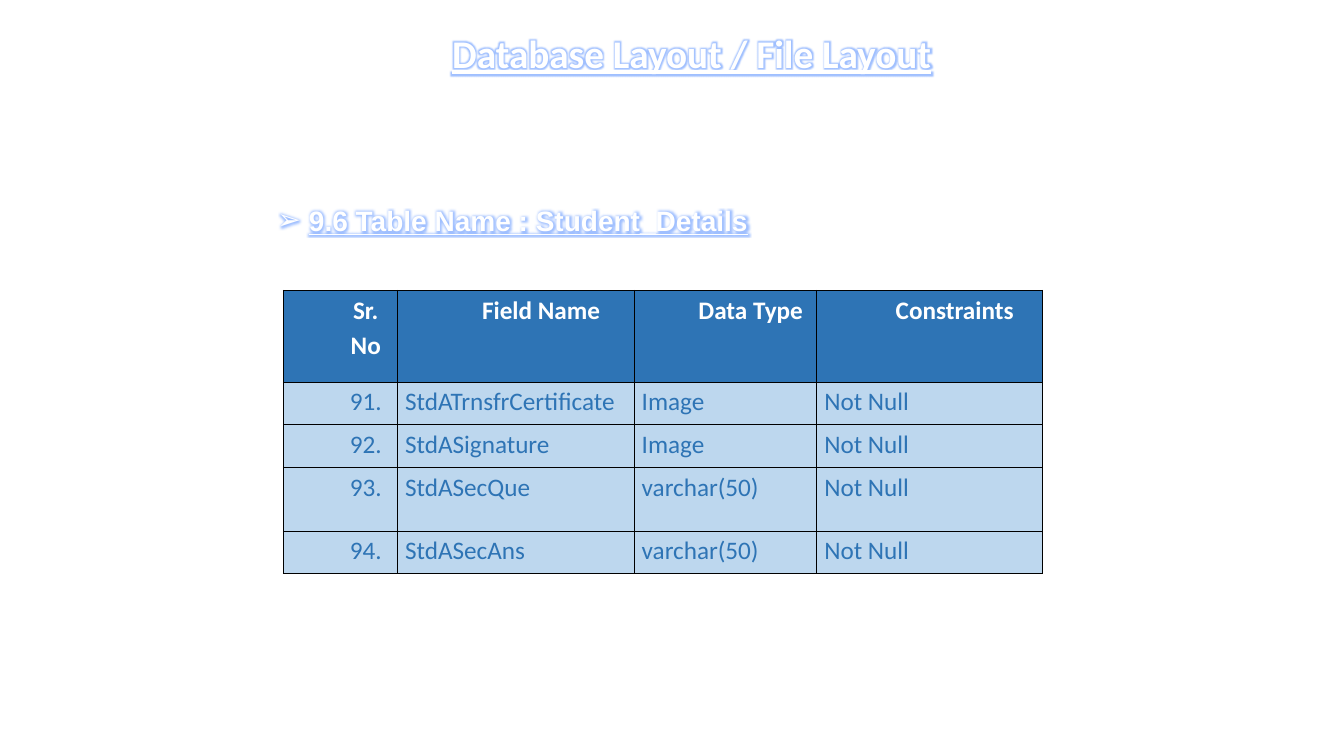
from lxml.etree import SubElement
from pptx import Presentation
from pptx.dml.color import RGBColor
from pptx.enum.text import MSO_ANCHOR as Anchor, MSO_AUTO_SIZE as AutoSize, PP_ALIGN as Align
from pptx.oxml.ns import qn
from pptx.util import Pt

COLORS = {
    "white": "FFFFFF",
    "header": "2E74B5",
    "row": "BDD7EE",
    "border": "000000",
    "glow": "4080FF",
}
COLUMN_WIDTHS = [81.5, 169, 130.5, 161]
ROW_HEIGHTS = [65.5, 30.5, 30.5, 45.5, 30.5]
FIELDS = [
    ["Sr. No", "Field Name", "Data Type", "Constraints"],
    ["91.", "StdATrnsfrCertificate", "Image", "Not Null"],
    ["92.", "StdASignature", "Image", "Not Null"],
    ["93.", "StdASecQue", "varchar(50)", "Not Null"],
    ["94.", "StdASecAns", "varchar(50)", "Not Null"],
]


def color(name):
    return RGBColor.from_string(COLORS[name])


class SlideBuilder:
    def __init__(self, presentation):
        self.slide = presentation.slides.add_slide(presentation.slide_layouts[1])
        background = self.slide.background.fill
        background.solid()
        background.fore_color.rgb = color("white")

    def place(self, shape, left, top, width, height):
        shape.left, shape.top = Pt(left), Pt(top)
        shape.width, shape.height = Pt(width), Pt(height)

    def format_runs(self, paragraph, size, color_name, font="Calibri", bold=False):
        for run in paragraph.runs:
            run.font.size = Pt(size)
            run.font.name = font
            run.font.bold = bold
            run.font.color.rgb = color(color_name)

    def glow_heading(self, paragraph, size, font):
        """Format a white, underlined heading with a soft blue glow."""
        self.format_runs(paragraph, size, "white", font, bold=True)
        for run in paragraph.runs:
            run.font.underline = True
            properties = run.font._element
            effects = SubElement(properties, qn("a:effectLst"))
            glow = SubElement(effects, qn("a:glow"), rad=str(Pt(5)))
            glow_color = SubElement(glow, qn("a:srgbClr"), val=COLORS["glow"])
            SubElement(glow_color, qn("a:alpha"), val="50000")
            properties.find(qn("a:solidFill")).addnext(effects)

    def title(self, text, *box):
        shape = self.slide.shapes.title
        self.place(shape, *box)
        frame = shape.text_frame
        frame.text = text
        frame.auto_size = AutoSize.NONE
        frame.vertical_anchor = Anchor.TOP
        paragraph = frame.paragraphs[0]
        paragraph.alignment = Align.CENTER
        self.glow_heading(paragraph, 28, "Calibri")

    def bullet(self, text, *box):
        shape = self.slide.placeholders[1]
        self.place(shape, *box)
        frame = shape.text_frame
        frame.text = text
        frame.auto_size = AutoSize.NONE
        frame.word_wrap = False
        frame.vertical_anchor = Anchor.TOP
        paragraph = frame.paragraphs[0]
        paragraph.alignment = Align.LEFT
        paragraph.line_spacing = 1.15
        paragraph.space_before = Pt(0)
        properties = paragraph._p.get_or_add_pPr()
        properties.set("marL", str(Pt(58.5)))
        properties.set("indent", str(Pt(-22.5)))
        SubElement(properties, qn("a:buFont"), typeface="Arial")
        SubElement(properties, qn("a:buChar"), char="➢")
        self.glow_heading(paragraph, 20, "Arial")

    def border(self, cell):
        properties = cell._tc.get_or_add_tcPr()
        for position, side in enumerate(("lnL", "lnR", "lnT", "lnB")):
            line = SubElement(properties, qn(f"a:{side}"), w=str(Pt(1)))
            fill = SubElement(line, qn("a:solidFill"))
            SubElement(fill, qn("a:srgbClr"), val=COLORS["border"])
            properties.insert(position, line)

    def cell(self, cell, text, is_header, is_indented):
        cell.fill.solid()
        cell.fill.fore_color.rgb = color("header" if is_header else "row")
        self.border(cell)
        cell.margin_left = cell.margin_right = Pt(5.4)
        cell.margin_top = cell.margin_bottom = Pt(0)
        cell.text_frame.text = text
        paragraph = cell.text_frame.paragraphs[0]
        paragraph.line_spacing = 1.15
        if is_indented:
            paragraph.alignment = Align.CENTER
            paragraph._p.get_or_add_pPr().set("marL", str(Pt(36)))
        self.format_runs(paragraph, 18, "white" if is_header else "header", bold=is_header)

    def table(self, rows, left, top):
        frame = self.slide.shapes.add_table(
            len(rows), len(COLUMN_WIDTHS), Pt(left), Pt(top),
            Pt(sum(COLUMN_WIDTHS)), Pt(sum(ROW_HEIGHTS)))
        table = frame.table
        table.first_row = table.horz_banding = False
        for column, width in zip(table.columns, COLUMN_WIDTHS):
            column.width = Pt(width)
        for row, height in zip(table.rows, ROW_HEIGHTS):
            row.height = Pt(height)
        for row_index, values in enumerate(rows):
            for column_index, text in enumerate(values):
                is_header = row_index == 0
                self.cell(table.cell(row_index, column_index), text,
                          is_header, is_header or column_index == 0)


def main():
    presentation = Presentation()
    presentation.slide_width, presentation.slide_height = Pt(960), Pt(540)
    builder = SlideBuilder(presentation)
    builder.title("Database Layout / File Layout", 134, 17, 720, 75)
    builder.bullet("9.6 Table Name : Student_Details", 155, 138, 389.5, 35.5)
    builder.table(FIELDS, 202.5, 207.5)
    presentation.save("out.pptx")


if __name__ == "__main__":
    main()
